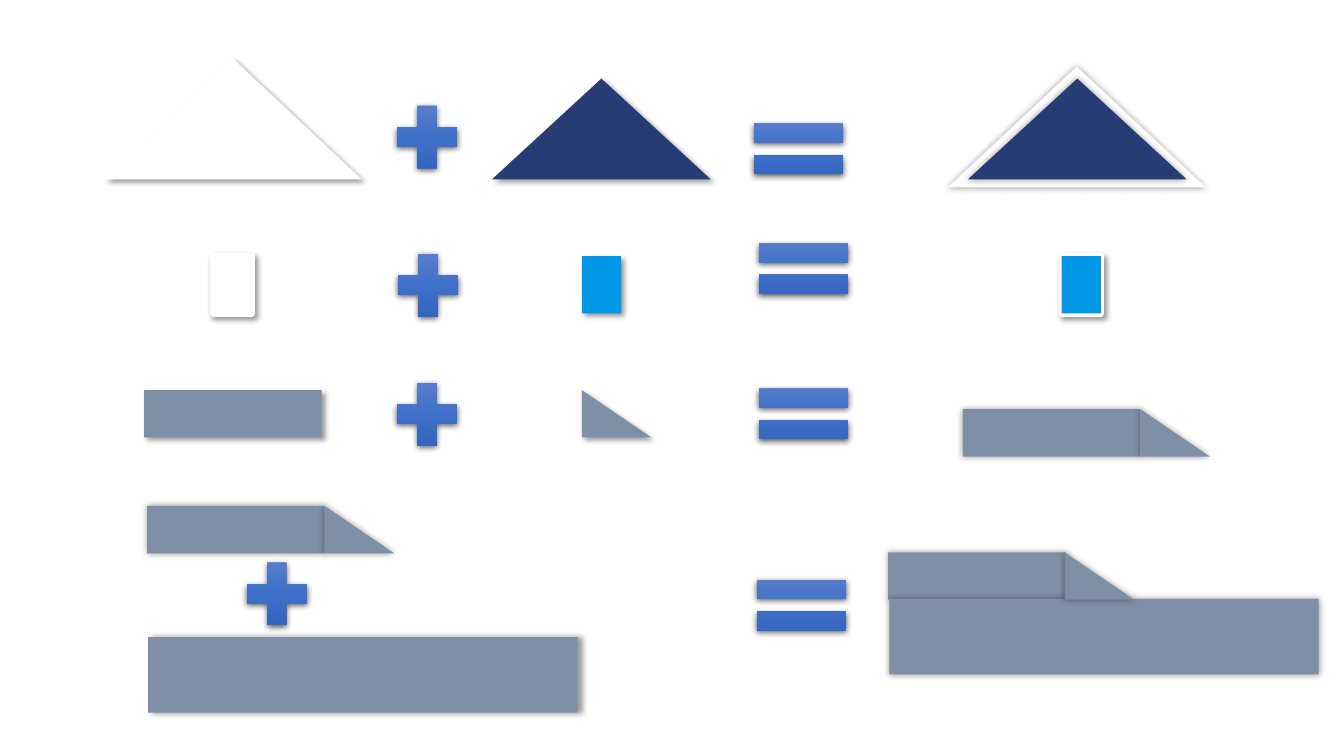
from copy import deepcopy

from lxml import etree
from pptx import Presentation
from pptx.dml.color import RGBColor
from pptx.enum import shapes
from pptx.oxml.ns import qn
from pptx.util import Inches, Pt

KIND = shapes.MSO_SHAPE
WHITE = RGBColor(0xFF, 0xFF, 0xFF)
NAVY = RGBColor(0x27, 0x3C, 0x75)
SKY = RGBColor(0x00, 0x97, 0xE6)
SLATE = RGBColor(0x7F, 0x8F, 0xA6)
SIGN_STOPS = [(0, RGBColor(0x61, 0x83, 0xCB)),
              (0.5, RGBColor(0x3E, 0x70, 0xCA)),
              (1, RGBColor(0x30, 0x62, 0xBB))]

# Shadows: opacity %, blur pt, distance pt, direction in degrees
DROP = (40, 4, 3, 45)
SIDE = (40, 4, 3, 0)
GLOW = (40, 5, 0, 0)
SIGN_SHADOW = (63, 4.5, 1.5, 90)

# Parts: preset, width, height, fill, outline in points
PARTS = {
    "roof frame": (KIND.ISOSCELES_TRIANGLE, 2.56, 1.2, WHITE, 0),
    "roof": (KIND.ISOSCELES_TRIANGLE, 2.17, 1, NAVY, 0),
    "window frame": (KIND.RECTANGLE, 0.39, 0.57, WHITE, 4.5),
    "window": (KIND.RECTANGLE, 0.39, 0.57, SKY, 0),
    "tab": (KIND.RECTANGLE, 1.76, 0.47, SLATE, 0),
    "tab end": (KIND.RIGHT_TRIANGLE, 0.69, 0.47, SLATE, 0),
    "folder": (KIND.RECTANGLE, 4.26, 0.75, SLATE, 0),
    "plus": (KIND.MATH_PLUS, 0.81, 0.84, SIGN_STOPS, 0),
    "equals": (KIND.MATH_EQUAL, 1.2, 0.79, SIGN_STOPS, 0),
}

# Each equation lists its parts: name, left, top, shadow
EQUATIONS = [
    [("roof frame", 1.03, 0.58, DROP), ("plus", 3.83, 0.94, SIGN_SHADOW),
     ("roof", 4.88, 0.78, DROP), ("equals", 7.32, 1.08, SIGN_SHADOW),
     ("roof frame", 9.4, 0.66, GLOW), ("roof", 9.6, 0.78, GLOW)],
    [("window frame", 2.11, 2.54, DROP), ("plus", 3.84, 2.41, SIGN_SHADOW),
     ("window", 5.77, 2.54, DROP), ("equals", 7.37, 2.27, SIGN_SHADOW),
     ("window frame", 10.53, 2.54, DROP), ("window", 10.53, 2.54, None)],
    [("tab", 1.43, 3.87, DROP), ("plus", 3.83, 3.69, SIGN_SHADOW),
     ("tab end", 5.77, 3.87, DROP), ("equals", 7.37, 3.71, SIGN_SHADOW),
     ("tab", 9.55, 4.06, GLOW), ("tab end", 11.31, 4.06, GLOW)],
    [("tab", 1.46, 5.02, GLOW), ("tab end", 3.22, 5.02, GLOW),
     ("plus", 2.34, 5.47, SIGN_SHADOW), ("folder", 1.47, 6.32, SIDE),
     ("equals", 7.35, 5.61, SIGN_SHADOW), ("tab", 8.81, 5.48, GLOW),
     ("folder", 8.82, 5.94, GLOW), ("tab end", 10.56, 5.48, GLOW)],
]


def fill_gradient(shape, stops):
    """Fill a shape from top to bottom with three colour stops."""
    shape.fill.gradient()
    shape.fill.gradient_angle = 270
    stop_list = shape.element.spPr.find(".//" + qn("a:gsLst"))
    stop_list.insert(1, deepcopy(stop_list[0]))
    for stop, (position, colour) in zip(shape.fill.gradient_stops, stops):
        stop.position = position
        stop.color.rgb = colour


def cast_shadow(shape, opacity, blur, distance, direction):
    """Add an outer black shadow to a shape."""
    effects = shape.element.spPr.find(qn("a:effectLst"))
    outer = etree.SubElement(effects, qn("a:outerShdw"), {
        "blurRad": str(Pt(blur)), "dist": str(Pt(distance)),
        "dir": str(direction * 60000), "algn": "ctr", "rotWithShape": "0"})
    black = etree.SubElement(outer, qn("a:srgbClr"), val="000000")
    etree.SubElement(black, qn("a:alpha"), val=str(opacity * 1000))


def add_part(slide, name, left, top, shadow):
    """Place one named part of an equation."""
    preset, width, height, fill, outline = PARTS[name]
    part = slide.shapes.add_shape(
        preset, *(Inches(n) for n in (left, top, width, height)))
    if fill is SIGN_STOPS:
        fill_gradient(part, fill)
    else:
        part.fill.solid()
        part.fill.fore_color.rgb = fill
    if outline:
        part.line.color.rgb = fill
        part.line.width = Pt(outline)
    else:
        part.line.fill.background()
    if name == "equals":
        part.adjustments[0], part.adjustments[1] = 0.235, 0.159
    part.shadow.inherit = False
    if shadow:
        cast_shadow(part, *shadow)


deck = Presentation()
deck.slide_width, deck.slide_height = Inches(13.33), Inches(7.5)
slide = deck.slides.add_slide(deck.slide_layouts[6])
for equation in EQUATIONS:
    for placed_part in equation:
        add_part(slide, *placed_part)
deck.save("out.pptx")
